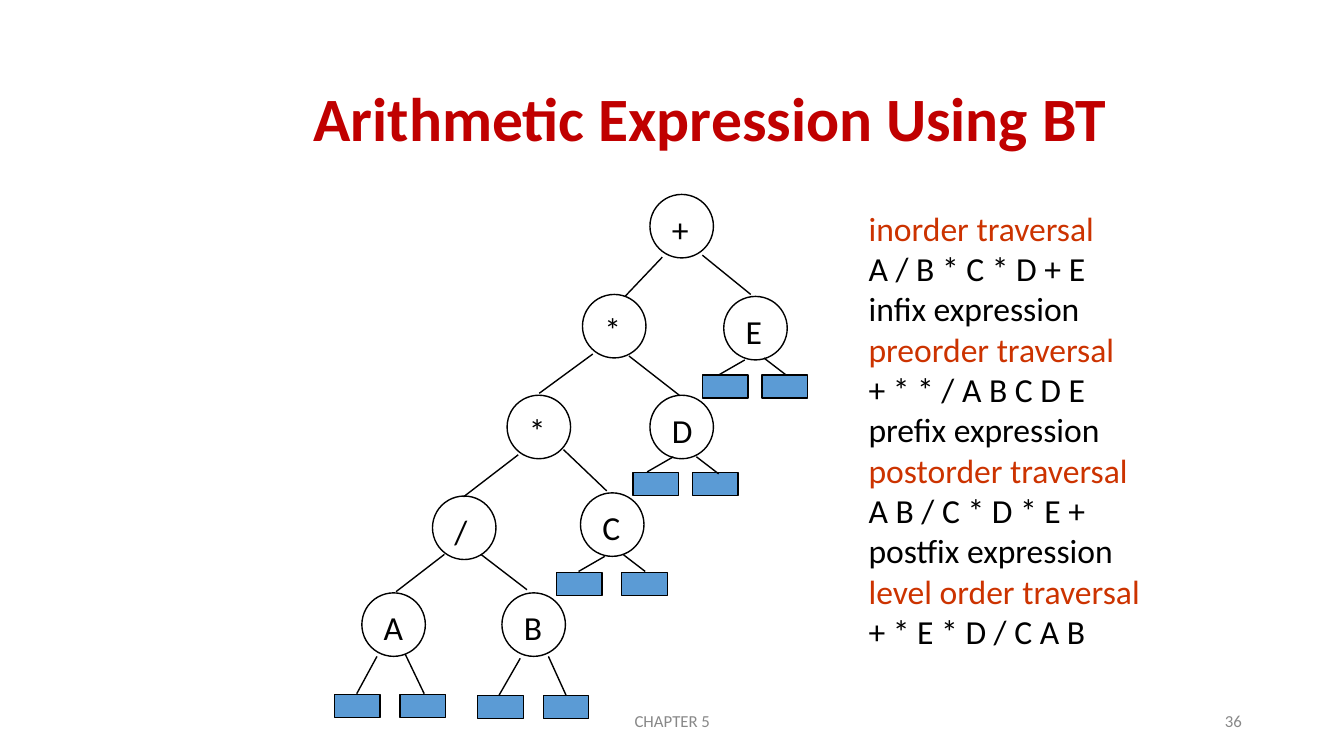
from lxml import etree
from pptx import Presentation
from pptx import util as u
from pptx.dml.color import RGBColor
from pptx.enum import shapes, text
from pptx.oxml.ns import qn

BLACK = RGBColor(0x00, 0x00, 0x00)
GREY = RGBColor(0x88, 0x88, 0x88)
CRIMSON = RGBColor(0xC0, 0x00, 0x00)
RUST = RGBColor(0xCC, 0x33, 0x00)
BLUE = RGBColor(0x5B, 0x9B, 0xD5)

LEFT, CENTER, RIGHT = text.PP_ALIGN.LEFT, text.PP_ALIGN.CENTER, text.PP_ALIGN.RIGHT
TOP, MIDDLE = text.MSO_ANCHOR.TOP, text.MSO_ANCHOR.MIDDLE

prs = Presentation()
prs.slide_width, prs.slide_height = u.Cm(33.87), u.Cm(19.05)
s = prs.slides.add_slide(prs.slide_layouts[6])


def add_text(box, lines, size, align=LEFT, anchor=TOP, bold=False):
    tf = s.shapes.add_textbox(*map(u.Cm, box)).text_frame
    tf.word_wrap = True
    tf.vertical_anchor = anchor
    for i, (line, color) in enumerate(lines):
        p = tf.add_paragraph() if i else tf.paragraphs[0]
        p.alignment = align
        r = p.add_run()
        r.text = line
        font = {"name": "Calibri", "size": u.Pt(size), "bold": bold}
        for key, value in font.items():
            setattr(r.font, key, value)
        r.font.color.rgb = color


def add_outlined(kind, box, fill=None):
    sp = s.shapes.add_shape(kind, *map(u.Cm, box))
    sp.shadow.inherit = False
    if fill is None:
        sp.fill.background()
    else:
        sp.fill.solid()
        sp.fill.fore_color.rgb = fill
    sp.line.color.rgb = BLACK
    sp.line.width = u.Pt(1)


add_text((11.23, 17.65, 11.43, 1.02), [("CHAPTER 5", GREY)], 12, CENTER, MIDDLE)
add_text((23.93, 17.65, 7.62, 1.02), [("36", GREY)], 12, RIGHT, MIDDLE)
add_text((5.18, 1.35, 25.45, 3.18), [("Arithmetic Expression Using BT", CRIMSON)],
         44, CENTER, MIDDLE, True)

nodes = [
    ("+", 16.38, 4.9),
    ("*", 14.68, 7.42), ("E", 18.24, 7.47),
    ("*", 12.78, 9.96), ("D", 16.38, 9.96),
    ("/", 10.9, 12.5), ("C", 14.63, 12.42),
    ("A", 9.12, 14.94), ("B", 12.65, 14.94),
]
for label, x, y in nodes:
    add_outlined(shapes.MSO_SHAPE.OVAL, (x, y, 1.6, 1.6))
    add_text((x + 0.3, y + 0.24, 1.1, 1.3), [(label, BLACK)], 24)

leaf_pairs = [
    (8.43, 17.5, 1.65), (12.04, 17.53, 1.65), (14.02, 14.43, 1.65),
    (15.95, 11.91, 1.5), (17.7, 9.45, 1.5),
]
for x, y, step in leaf_pairs:
    for leaf_x in (x, x + step):
        add_outlined(shapes.MSO_SHAPE.RECTANGLE, (leaf_x, y, 1.15, 0.58), BLUE)

branches = [
    (16.69, 6.48, 15.75, 7.47), (17.7, 6.43, 18.92, 7.42),
    (14.94, 8.92, 13.59, 9.91), (15.85, 8.97, 17.12, 9.96),
    (13.06, 11.46, 11.68, 12.52), (14.2, 11.33, 15.29, 12.37),
    (11.2, 13.97, 9.98, 14.91), (12.12, 13.97, 13.28, 14.86),
    (9.5, 16.54, 8.99, 17.48), (10.21, 16.48, 10.69, 17.48),
    (13.11, 16.59, 12.57, 17.53), (13.82, 16.54, 14.27, 17.53),
    (15.24, 14.02, 14.58, 14.4), (15.7, 13.97, 16.26, 14.4),
    (16.97, 11.51, 16.31, 11.89), (17.55, 11.51, 18.11, 11.94),
    (18.77, 9.07, 18.11, 9.45), (19.25, 9.02, 19.81, 9.45),
]
for ends in branches:
    branch = s.shapes.add_connector(shapes.MSO_CONNECTOR.STRAIGHT, *map(u.Cm, ends))
    branch.line.color.rgb = BLACK
    branch.line.width = u.Pt(1)
    etree.SubElement(branch._element.spPr, qn("a:effectLst"))

traversals = [
    ("inorder traversal", RUST),
    ("A / B * C * D + E", BLACK),
    ("infix expression", BLACK),
    ("preorder traversal", RUST),
    ("+ * * / A B C D E", BLACK),
    ("prefix expression", BLACK),
    ("postorder traversal", RUST),
    ("A B / C * D * E +", BLACK),
    ("postfix expression", BLACK),
    ("level order traversal", RUST),
    ("+ * E * D / C A B", BLACK),
]
add_text((21.64, 5.11, 7.6, 11.53), traversals, 24)

prs.save("out.pptx")
